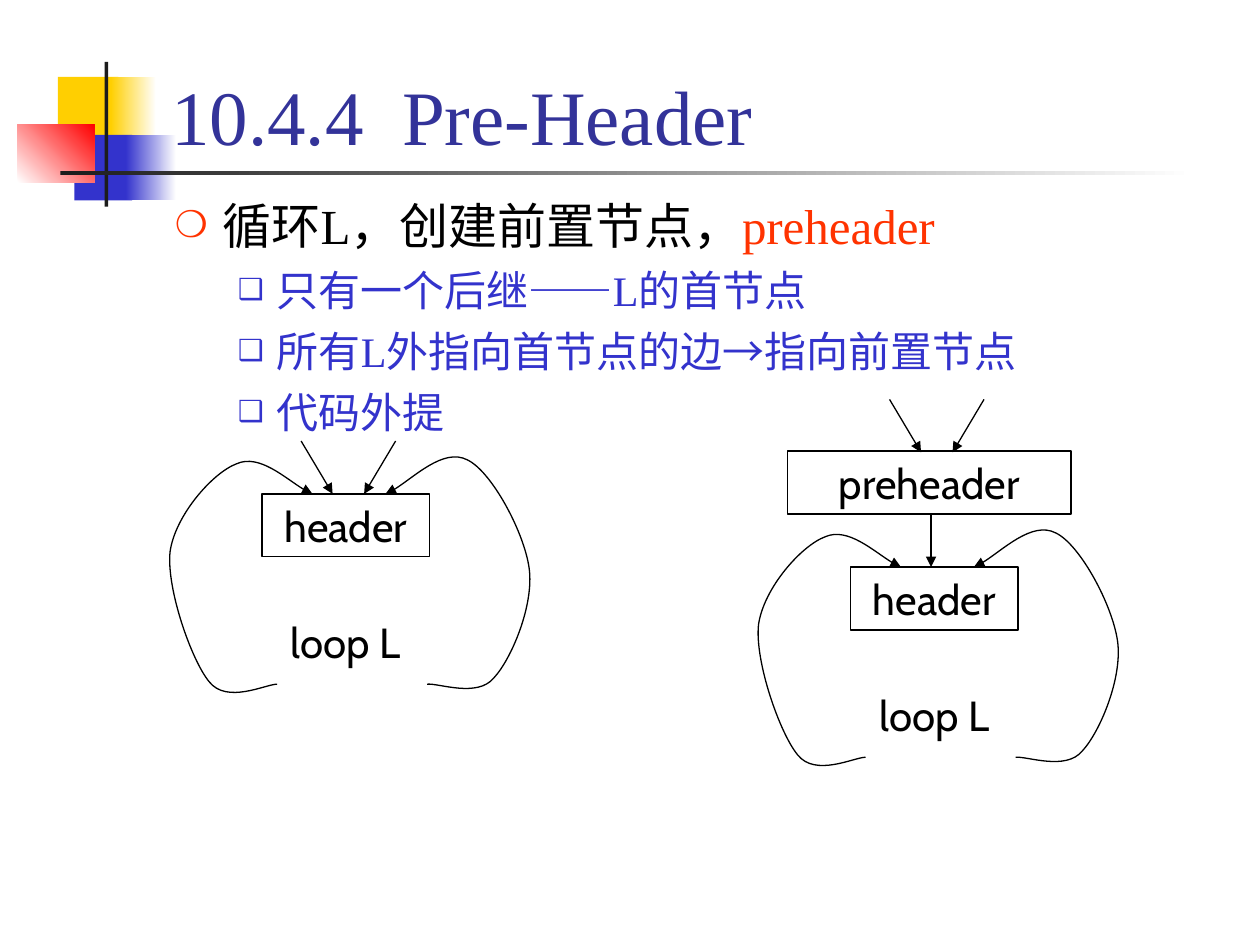
"""Build the slide explaining how a preheader is added to a loop."""
from typing import NamedTuple

from lxml import etree
from pptx import Presentation
from pptx.dml.color import RGBColor
from pptx.enum.shapes import MSO_CONNECTOR, MSO_SHAPE
from pptx.enum.text import MSO_ANCHOR, MSO_AUTO_SIZE, PP_ALIGN
from pptx.oxml.ns import qn
from pptx.util import Inches, Pt

RECTANGLE = MSO_SHAPE.RECTANGLE
STRAIGHT = MSO_CONNECTOR.STRAIGHT
LEFT, CENTER = PP_ALIGN.LEFT, PP_ALIGN.CENTER
TOP, BOTTOM = MSO_ANCHOR.TOP, MSO_ANCHOR.BOTTOM
FIT, NO_FIT = MSO_AUTO_SIZE.SHAPE_TO_FIT_TEXT, MSO_AUTO_SIZE.NONE
SERIF, SANS, SYMBOL = "Times New Roman", "Cabin", "Arial"
COLORS = {
    "yellow": "FFCF01", "blue": "3333CC", "red": "FF0000", "dark": "1C1C1C",
    "white": "FFFFFF", "black": "000000", "title": "333399", "accent": "FF3300",
}
LINE_WIDTH = Pt(0.75)


class Box(NamedTuple):
    left: float
    top: float
    width: float
    height: float


class Run(NamedTuple):
    text: str
    color: str = "black"
    font: str = SERIF


class Bullet(NamedTuple):
    mark: str
    color: str
    percent: int
    margin: float
    hang: float
    level: int


class Ornament(NamedTuple):
    box: Box
    start: str
    end: str = ""
    angle: int = 0


MAIN = Bullet("❍", "accent", 75, 0.38, 0.38, 0)
SUB = Bullet("❑", "blue", 69, 0.81, 0.31, 1)
ORNAMENTS = [
    Ornament(Box(0.46, 0.61, 0.48, 0.52), "yellow"),
    Ornament(Box(0.88, 0.61, 0.36, 0.52), "yellow", "white"),
    Ornament(Box(0.59, 1.07, 0.46, 0.52), "blue"),
    Ornament(Box(1, 1.07, 0.4, 0.52), "blue", "white"),
    Ornament(Box(0.14, 0.99, 0.61, 0.46), "white", "red", 45),
    Ornament(Box(0.83, 0.49, 0.03, 1.15), "dark"),
    Ornament(Box(0.48, 1.36, 9, 0.03), "dark", "white"),
]
SUB_POINTS = [
    [Run("只有一个后继——L的首节点", "blue")],
    [Run("所有L外指向首节点的边", "blue"), Run("→", "blue", SYMBOL), Run("指向前置节点", "blue")],
    [Run("代码外提", "blue")],
]
BACK_EDGES = [
    [(2.2, 5.43), (2.11, 5.43), (1.8, 5.59), (1.66, 5.41), (1.52, 5.24), (1.32, 4.67),
     (1.35, 4.38), (1.39, 4.09), (1.69, 3.75), (1.88, 3.68), (2.06, 3.6), (2.35, 3.87),
     (2.48, 3.92)],
    [(3.39, 5.43), (3.48, 5.42), (3.79, 5.54), (3.92, 5.38), (4.06, 5.23), (4.24, 4.8),
     (4.2, 4.51), (4.16, 4.22), (3.9, 3.74), (3.71, 3.65), (3.52, 3.55), (3.2, 3.87),
     (3.06, 3.92)],
]


def rgb(name: str) -> RGBColor:
    """Return a named colour."""
    return RGBColor.from_string(COLORS[name])


def add_bullet(paragraph, bullet: Bullet) -> None:
    """Give a paragraph its indent and bullet mark."""
    paragraph.level = bullet.level
    props = paragraph._p.get_or_add_pPr()
    props.set("marL", str(Inches(bullet.margin)))
    props.set("indent", str(-Inches(bullet.hang)))
    tint = etree.SubElement(props, qn("a:buClr"))
    etree.SubElement(tint, qn("a:srgbClr"), val=COLORS[bullet.color])
    etree.SubElement(props, qn("a:buSzPct"), val=str(bullet.percent * 1000))
    etree.SubElement(props, qn("a:buFont"), typeface=SYMBOL)
    etree.SubElement(props, qn("a:buChar"), char=bullet.mark)


def write(paragraph, runs: list[Run], *, size: float, align=LEFT,
          space_before: float = 0, bullet: Bullet | None = None) -> None:
    """Fill a paragraph with formatted runs."""
    paragraph.alignment = align
    paragraph.space_before = Pt(space_before)
    if bullet:
        add_bullet(paragraph, bullet)
    for part in runs:
        run = paragraph.add_run()
        run.text = part.text
        run.font.size = Pt(size)
        run.font.name = part.font
        run.font.color.rgb = rgb(part.color)


def add_text_box(slide, box: Box, anchor=TOP, auto_size=NO_FIT):
    """Add a wrapping text box and return its text frame."""
    frame = slide.shapes.add_textbox(*map(Inches, box)).text_frame
    frame.word_wrap = True
    frame.auto_size = auto_size
    frame.vertical_anchor = anchor
    return frame


def add_ornament(slide, ornament: Ornament) -> None:
    """Draw a plain or fading block of the title decoration."""
    block = slide.shapes.add_shape(RECTANGLE, *map(Inches, ornament.box))
    block.shadow.inherit = False
    block.line.fill.background()
    if not ornament.end:
        block.fill.solid()
        block.fill.fore_color.rgb = rgb(ornament.start)
        return
    block.fill.gradient()
    block.fill.gradient_angle = ornament.angle
    for stop, name in zip(block.fill.gradient_stops, (ornament.start, ornament.end)):
        stop.color.rgb = rgb(name)


def add_label(slide, text: str, box: Box, framed: bool = True) -> None:
    """Draw a node of the flow graph or a caption without a frame."""
    if framed:
        node = slide.shapes.add_shape(RECTANGLE, *map(Inches, box))
        node.shadow.inherit = False
        node.fill.background()
        node.line.color.rgb = rgb("black")
        node.line.width = LINE_WIDTH
        frame = node.text_frame
        frame.word_wrap = True
        frame.auto_size = FIT
        frame.vertical_anchor = TOP
    else:
        frame = add_text_box(slide, box, auto_size=FIT)
    write(frame.paragraphs[0], [Run(text, font=SANS)], size=24, align=CENTER, space_before=15)


def style_edge(edge) -> None:
    """Give an edge a thin black line with an arrowhead at its end."""
    edge.line.color.rgb = rgb("black")
    edge.line.width = LINE_WIDTH
    etree.SubElement(edge.line._get_or_add_ln(), qn("a:tailEnd"), type="triangle")


def add_arrow(slide, x1: float, y1: float, x2: float, y2: float) -> None:
    """Draw a straight edge."""
    arrow = slide.shapes.add_connector(STRAIGHT, *map(Inches, (x1, y1, x2, y2)))
    style_edge(arrow)
    etree.SubElement(arrow._element.spPr, qn("a:effectLst"))


def add_curve(slide, points: list[tuple[float, float]]) -> None:
    """Draw a back edge as cubic curves through a start and point triples."""
    start, *rest = [(Inches(x), Inches(y)) for x, y in points]
    builder = slide.shapes.build_freeform(*start)
    builder.add_line_segments(rest, close=False)
    curve = builder.convert_to_shape()
    curve.shadow.inherit = False
    curve.fill.background()
    style_edge(curve)
    outline = curve._element.spPr.find(".//" + qn("a:path"))
    segments = outline.findall(qn("a:lnTo"))
    for first in range(0, len(segments), 3):
        bezier = etree.SubElement(outline, qn("a:cubicBezTo"))
        for segment in segments[first:first + 3]:
            bezier.append(segment[0])
            outline.remove(segment)


def add_entries(slide, dx: float = 0, dy: float = 0) -> None:
    """Draw the two edges that enter from outside the loop."""
    for outer, inner in ((3.14, 2.89), (2.39, 2.64)):
        add_arrow(slide, outer + dx, 3.5 + dy, inner + dx, 3.92 + dy)


def add_loop(slide, dx: float = 0, dy: float = 0) -> None:
    """Draw the header, caption and back edges of a loop."""
    add_label(slide, "header", Box(2.08 + dx, 3.92 + dy, 1.33, 0.5))
    add_label(slide, "loop L", Box(2.08 + dx, 4.84 + dy, 1.33, 0.5), framed=False)
    for points in BACK_EDGES:
        add_curve(slide, [(x + dx, y + dy) for x, y in points])


def main() -> None:
    """Build and save the slide."""
    deck = Presentation()
    deck.slide_width, deck.slide_height = Inches(10), Inches(7.5)
    slide = deck.slides.add_slide(deck.slide_layouts[6])
    for ornament in ORNAMENTS:
        add_ornament(slide, ornament)
    title = add_text_box(slide, Box(1.26, 0.08, 8.52, 1.25), anchor=BOTTOM)
    write(title.paragraphs[0], [Run("10.4.4  Pre-Header", "title")], size=44)
    body = add_text_box(slide, Box(1.29, 1.5, 8.5, 5.17))
    write(body.paragraphs[0], [Run("循环L，创建前置节点，"), Run("preheader", "accent")],
          size=28, space_before=7, bullet=MAIN)
    for point in SUB_POINTS:
        write(body.add_paragraph(), point, size=24, space_before=6, bullet=SUB)
    add_loop(slide)
    add_entries(slide)
    add_label(slide, "preheader", Box(6.25, 3.58, 2.25, 0.5))
    add_arrow(slide, 7.39, 4.08, 7.39, 4.5)
    add_entries(slide, 4.67, -0.33)
    add_loop(slide, 4.67, 0.58)
    deck.save("out.pptx")


if __name__ == "__main__":
    main()
